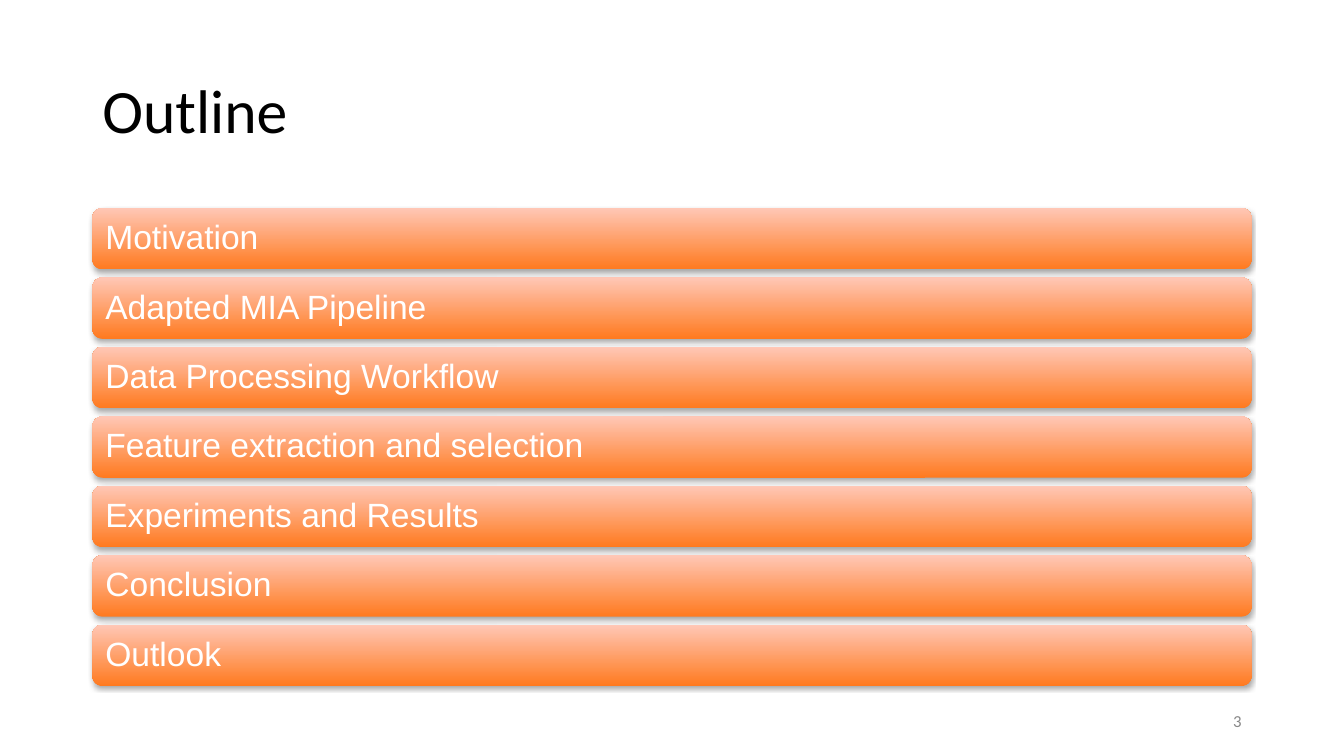
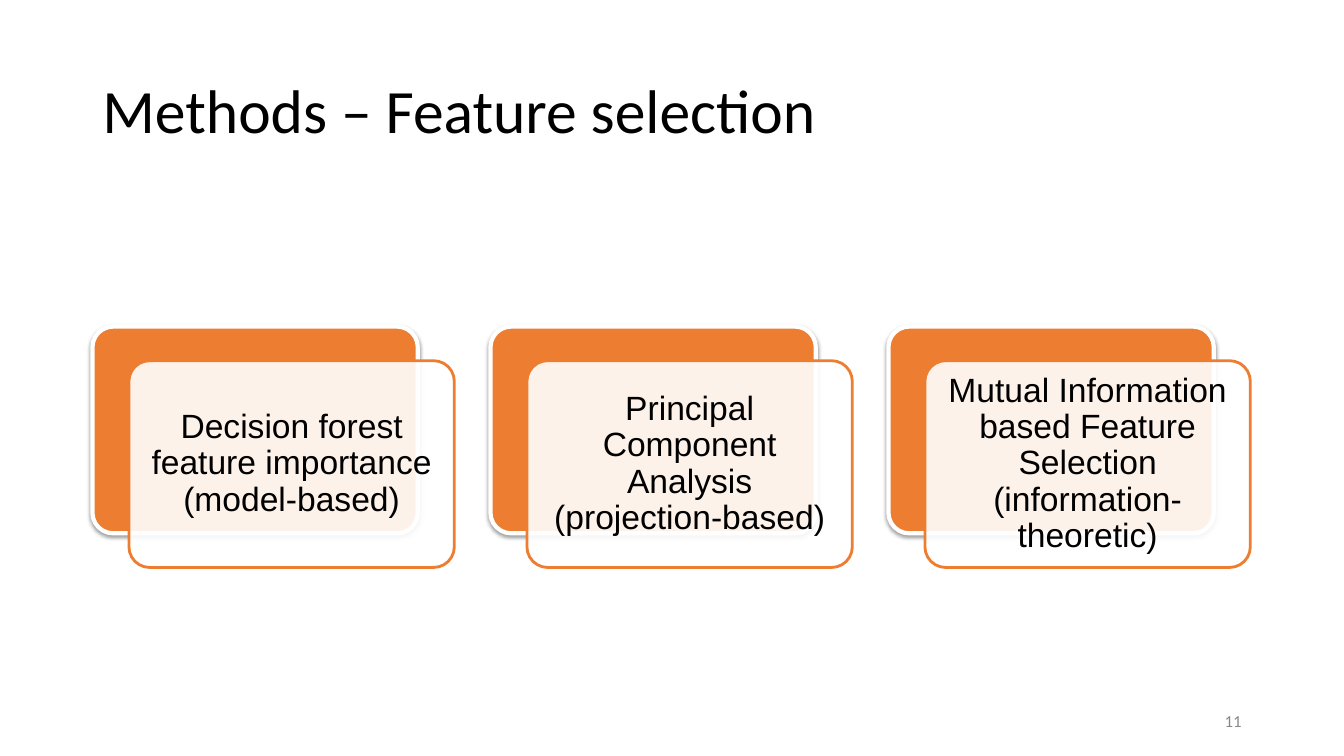
"""Build the outline slide and the feature selection slide."""
from lxml import etree
from pptx import Presentation
from pptx import util as u
from pptx.dml import color
from pptx.enum import shapes, text
from pptx.oxml import ns

ORANGE, BAR_DARK, BAR_LIGHT = "ED7D31", "FF7A1F", "FFC7B6"
WHITE, BLACK, GREY = "FFFFFF", "000000", "888888"
LEFT, CONTENT_WIDTH = 2.33, 29.21
BAR_TOP, BAR_HEIGHT, BAR_PITCH = 5.24, 1.55, 1.75
CARD_TOP, CARD_WIDTH, CARD_HEIGHT, CARD_PITCH = 8.23, 8.2, 5.21, 10.03
FRONT_SHIFT_X, FRONT_SHIFT_Y = 0.92, 0.86

TOPICS = [
    "Motivation",
    "Adapted MIA Pipeline",
    "Data Processing Workflow",
    "Feature extraction and selection",
    "Experiments and Results",
    "Conclusion",
    "Outlook",
]
METHODS = [
    "Decision forest feature importance (model-based)",
    "Principal Component Analysis (projection-based)",
    "Mutual Information based Feature Selection (information-theoretic)",
]


def rgb(hex_color):
    """Turn a hex string into a colour."""
    return color.RGBColor.from_string(hex_color)


def write(holder, words, *, size=24, font="Arial", ink=BLACK, align="LEFT",
          spacing=0.9, pad_y=0.25):
    """Write formatted, vertically centred text into a shape or text box."""
    frame = holder.text_frame
    frame.word_wrap = True
    frame.vertical_anchor = text.MSO_ANCHOR.MIDDLE
    frame.margin_left = frame.margin_right = u.Cm(0.25)
    frame.margin_top = frame.margin_bottom = u.Cm(pad_y)
    paragraph = frame.paragraphs[0]
    paragraph.alignment = getattr(text.PP_ALIGN, align)
    paragraph.line_spacing = spacing
    run = paragraph.add_run()
    run.text = words
    run.font.size = u.Pt(size)
    run.font.name = font
    run.font.color.rgb = rgb(ink)


def add_label(slide, words, left, top, width, height, **style):
    """Add a text box in the heading font."""
    box = slide.shapes.add_textbox(*map(u.Cm, (left, top, width, height)))
    write(box, words, font="Calibri", pad_y=0.13, **style)


def add_slide(deck, title, number):
    """Add a slide with the shared title and page number."""
    slide = deck.slides.add_slide(deck.slide_layouts[6])
    add_label(slide, title, LEFT, 1.02, CONTENT_WIDTH, 3.68, size=44)
    add_label(slide, number, 23.92, 17.65, 7.62, 1.02,
              size=12, ink=GREY, align="RIGHT", spacing=1.0)
    return slide


def add_rounded(slide, left, top, width, height, *, fill=None, line=None,
                line_width=0, corner=None):
    """Add a rounded rectangle without shadow."""
    panel = slide.shapes.add_shape(
        shapes.MSO_SHAPE.ROUNDED_RECTANGLE,
        *map(u.Cm, (left, top, width, height)))
    panel.shadow.inherit = False
    if corner is not None:
        panel.adjustments[0] = corner
    if fill:
        panel.fill.solid()
        panel.fill.fore_color.rgb = rgb(fill)
    if line:
        panel.line.color.rgb = rgb(line)
        panel.line.width = u.Pt(line_width)
    else:
        panel.line.fill.background()
    return panel


def set_alpha(color_element, percent):
    """Set the opacity of a colour element."""
    alpha = etree.SubElement(color_element, ns.qn("a:alpha"))
    alpha.set("val", str(percent * 1000))


def drop_shadow(panel, opacity, distance):
    """Cast a soft black shadow straight down."""
    effects = panel._element.spPr.find(ns.qn("a:effectLst"))
    shadow = etree.SubElement(
        effects, ns.qn("a:outerShdw"), blurRad=str(u.Pt(3.1)),
        dist=str(u.Pt(distance)), dir="5400000", rotWithShape="0")
    tone = etree.SubElement(shadow, ns.qn("a:srgbClr"), val=BLACK)
    set_alpha(tone, opacity)


def add_topic_bar(slide, topic, top):
    """Add one full-width gradient bar of the outline."""
    bar = add_rounded(slide, LEFT, top, CONTENT_WIDTH, BAR_HEIGHT)
    bar.fill.gradient()
    bar.fill.gradient_angle = 90
    for stop, shade in zip(bar.fill.gradient_stops, (BAR_DARK, BAR_LIGHT)):
        stop.color.rgb = rgb(shade)
    drop_shadow(bar, 35, 1.8)
    write(bar, topic, ink=WHITE)


def add_method_card(slide, method, left):
    """Add an orange card with a translucent captioned card in front."""
    back = add_rounded(slide, left, CARD_TOP, CARD_WIDTH, CARD_HEIGHT,
                       fill=ORANGE, line=WHITE, line_width=3, corner=0.1)
    drop_shadow(back, 38, 1.6)
    front = add_rounded(slide, left + FRONT_SHIFT_X, CARD_TOP + FRONT_SHIFT_Y,
                        CARD_WIDTH, CARD_HEIGHT,
                        fill=WHITE, line=ORANGE, line_width=2, corner=0.1)
    fill_path = f"{ns.qn('a:solidFill')}/{ns.qn('a:srgbClr')}"
    set_alpha(front._element.spPr.find(fill_path), 90)
    write(front, method, align="CENTER")


def main():
    """Build and save the deck."""
    deck = Presentation()
    deck.slide_width, deck.slide_height = u.Cm(33.87), u.Cm(19.05)

    outline = add_slide(deck, "Outline", "3")
    for row, topic in enumerate(TOPICS):
        add_topic_bar(outline, topic, BAR_TOP + row * BAR_PITCH)

    selection = add_slide(deck, "Methods – Feature selection", "11")
    for column, method in enumerate(METHODS):
        add_method_card(selection, method, LEFT + column * CARD_PITCH)

    deck.save("out.pptx")


if __name__ == "__main__":
    main()
